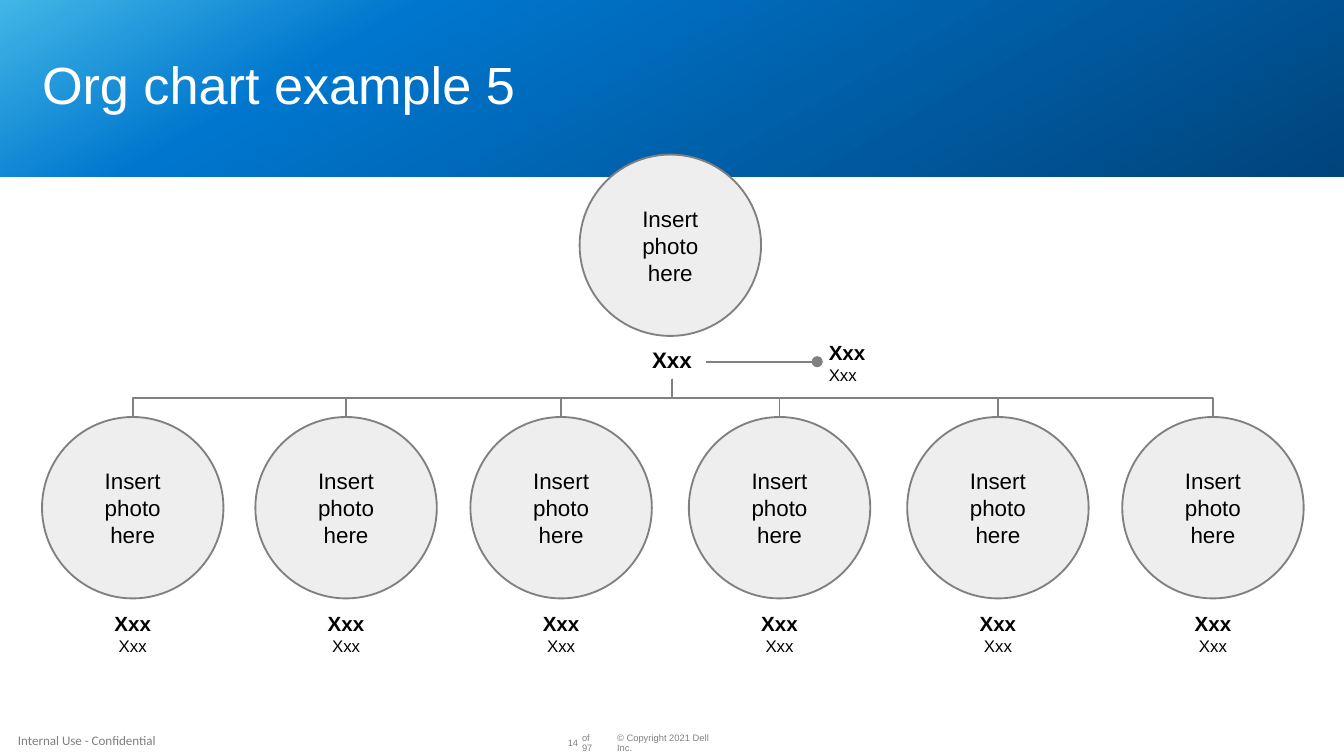
import copy

import pptx
import pptx.dml.color
import pptx.enum.shapes
import pptx.enum.text
import pptx.oxml.ns
import pptx.util
from lxml import etree

Pt = pptx.util.Pt
ALIGN = pptx.enum.text.PP_ALIGN
ANCHOR = pptx.enum.text.MSO_ANCHOR
SHAPE = pptx.enum.shapes.MSO_SHAPE
CONNECTOR = pptx.enum.shapes.MSO_CONNECTOR
qn = pptx.oxml.ns.qn

COLORS = {
    "white": "FFFFFF",
    "black": "000000",
    "gray": "808080",
    "footer": "7F7F7F",
    "circle": "EEEEEE",
}
BANNER_STOPS = [(0, "41B6E6"), (0.26, "0076CE"), (1, "00447C")]

SLIDE_WIDTH, SLIDE_HEIGHT = 720, 405
DIAMETER = 97.2
MANAGER_LEFT, MANAGER_TOP = 310.5, 82.8
REPORT_LEFTS = [22.5, 136.8, 252, 369, 486, 601.2]
REPORT_TOP = 223.4
TRUNK_X, TRUNK_TOP = 360, 202.8
NAME_AND_ROLE = [("Xxx", 11, True), ("Xxx", 9, False)]


def rgb(value):
    return pptx.dml.color.RGBColor.from_string(value)


def add_text(slide, box, lines, color="black", font="Arial", align=ALIGN.LEFT,
             anchor=ANCHOR.MIDDLE, insets=(0, 0, 0, 0), wrap=True, spacing=None):
    """Add a text box; lines holds (text, size, bold) for each paragraph."""
    shape = slide.shapes.add_textbox(*map(Pt, box))
    frame = shape.text_frame
    frame.word_wrap = wrap
    frame.vertical_anchor = anchor
    (frame.margin_left, frame.margin_top,
     frame.margin_right, frame.margin_bottom) = map(Pt, insets)
    frame.text = "\n".join(text for text, _, _ in lines)
    for paragraph, (_, size, bold) in zip(frame.paragraphs, lines):
        paragraph.alignment = align
        paragraph.line_spacing = spacing
        paragraph.font.name = font
        paragraph.font.size = Pt(size)
        paragraph.font.bold = bold
        paragraph.font.color.rgb = rgb(COLORS[color])


def add_banner(slide):
    banner = slide.shapes.add_shape(SHAPE.RECTANGLE, 0, 0, Pt(SLIDE_WIDTH), Pt(94.6))
    banner.shadow.inherit = False
    banner.line.fill.background()
    banner.fill.gradient()
    banner.fill.gradient_angle = 300
    stop_list = banner._element.spPr.find(".//" + qn("a:gsLst"))
    stop_list.append(copy.deepcopy(stop_list[0]))
    for stop, (position, color) in zip(banner.fill.gradient_stops, BANNER_STOPS):
        stop.position = position
        stop.color.rgb = rgb(color)


def add_photo_circle(slide, left, top):
    circle = slide.shapes.add_shape(SHAPE.OVAL, *map(Pt, (left, top, DIAMETER, DIAMETER)))
    circle.shadow.inherit = False
    circle.fill.solid()
    circle.fill.fore_color.rgb = rgb(COLORS["circle"])
    circle.line.color.rgb = rgb(COLORS["gray"])
    circle.line.width = Pt(1)
    frame = circle.text_frame
    frame.word_wrap = True
    frame.vertical_anchor = ANCHOR.MIDDLE
    frame.text = "Insert photo here"
    paragraph = frame.paragraphs[0]
    paragraph.alignment = ALIGN.CENTER
    paragraph.font.name = "Arial"
    paragraph.font.size = Pt(12)
    paragraph.font.color.rgb = rgb(COLORS["black"])


def add_line(slide, kind, start, end):
    line = slide.shapes.add_connector(kind, *map(Pt, (*start, *end)))
    line.line.color.rgb = rgb(COLORS["gray"])
    line.line.width = Pt(1)
    etree.SubElement(line._element.spPr, qn("a:effectLst"))
    return line


def add_branch(slide, target_x):
    """Draw down, across and down from the trunk, as a rotated elbow connector."""
    middle_x = (TRUNK_X + target_x) / 2
    middle_y = (TRUNK_TOP + REPORT_TOP) / 2
    half_reach = abs(target_x - TRUNK_X) / 2
    half_drop = (REPORT_TOP - TRUNK_TOP) / 2
    if target_x < TRUNK_X:
        side, degrees = -1, 90
    else:
        side, degrees = 1, 270
    branch = add_line(
        slide, CONNECTOR.ELBOW,
        (middle_x + side * half_drop, middle_y - half_reach),
        (middle_x - side * half_drop, middle_y + half_reach))
    branch._element.spPr.find(qn("a:xfrm")).set("rot", str(degrees * 60000))


def add_assistant(slide):
    line = add_line(slide, CONNECTOR.STRAIGHT, (378, 193.8), (437.8, 193.8))
    etree.SubElement(line.line._get_or_add_ln(), qn("a:tailEnd"), type="oval")
    add_text(slide, (444, 181.7, 20.2, 24.5), NAME_AND_ROLE, wrap=False)


def add_manager(slide):
    add_photo_circle(slide, MANAGER_LEFT, MANAGER_TOP)
    add_text(slide, (342, 185.2, 36, 18), [("Xxx", 12, True)], align=ALIGN.CENTER,
             anchor=ANCHOR.TOP, insets=(7.2, 0, 7.2, 3.6), wrap=False)


def add_report(slide, left):
    add_branch(slide, left + DIAMETER / 2)
    add_photo_circle(slide, left, REPORT_TOP)
    add_text(slide, (left, 324, DIAMETER, 28), NAME_AND_ROLE, align=ALIGN.CENTER,
             anchor=ANCHOR.TOP, insets=(0, 3.6, 0, 0))


def add_footer(slide):
    for text, left, width, align in [
        ("© Copyright 2021 Dell Inc.", 330.6, 58, ALIGN.LEFT),
        ("14", 303.8, 6, ALIGN.RIGHT),
        ("of 97", 311.8, 10.8, ALIGN.LEFT),
    ]:
        add_text(slide, (left, 395.3, width, 5.8), [(text, 5, False)],
                 color="gray", align=align, spacing=0.9)
    add_text(slide, (0, 388.4, 93.6, 16.6), [("Internal Use - Confidential", 7, False)],
             color="footer", font="Calibri", insets=(9.6, 0, 0, 0))


def main():
    presentation = pptx.Presentation()
    presentation.slide_width = Pt(SLIDE_WIDTH)
    presentation.slide_height = Pt(SLIDE_HEIGHT)
    slide = presentation.slides.add_slide(presentation.slide_layouts[6])
    add_footer(slide)
    add_banner(slide)
    add_text(slide, (22.5, 31.7, 675, 30.2), [("Org chart example 5", 28, False)],
             color="white", spacing=0.9)
    add_manager(slide)
    add_assistant(slide)
    for left in REPORT_LEFTS:
        add_report(slide, left)
    presentation.save("out.pptx")


if __name__ == "__main__":
    main()
